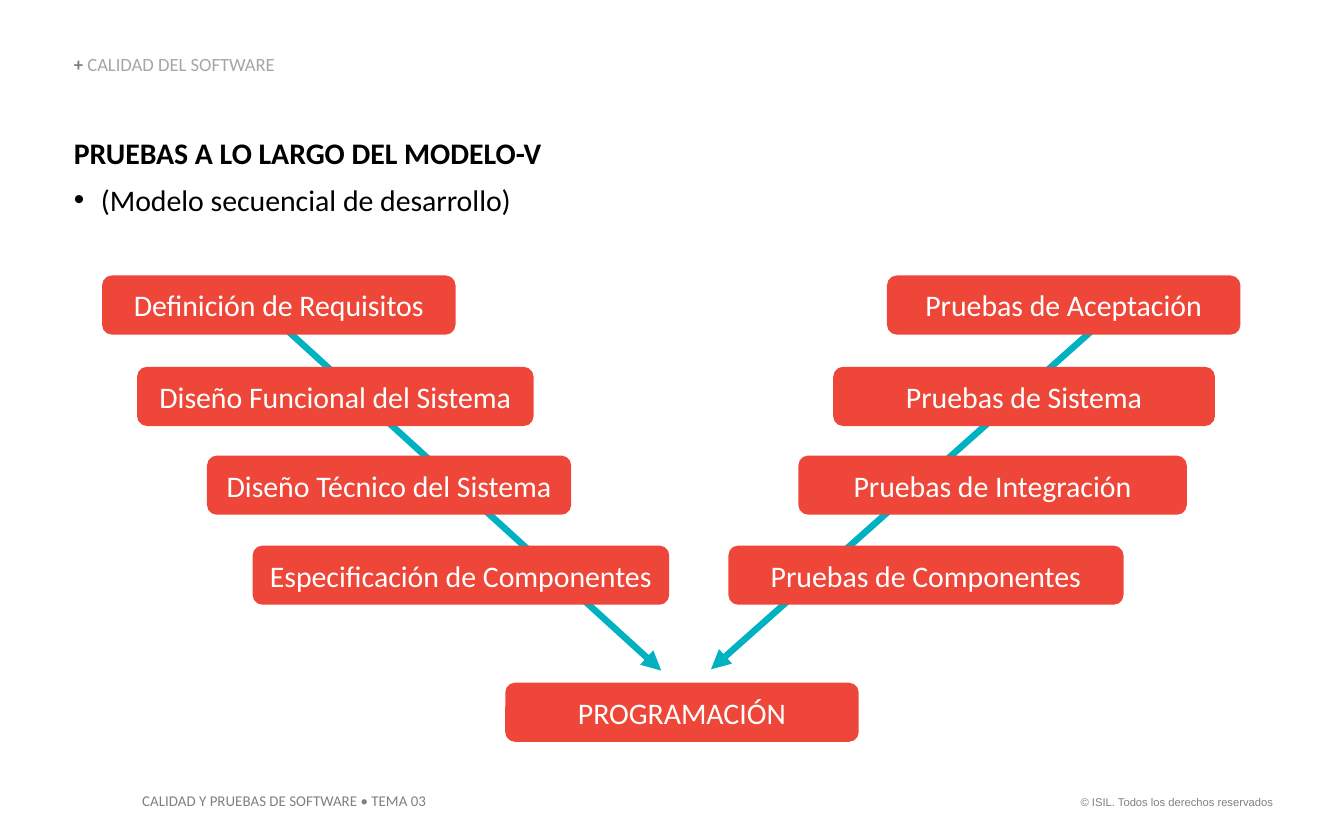
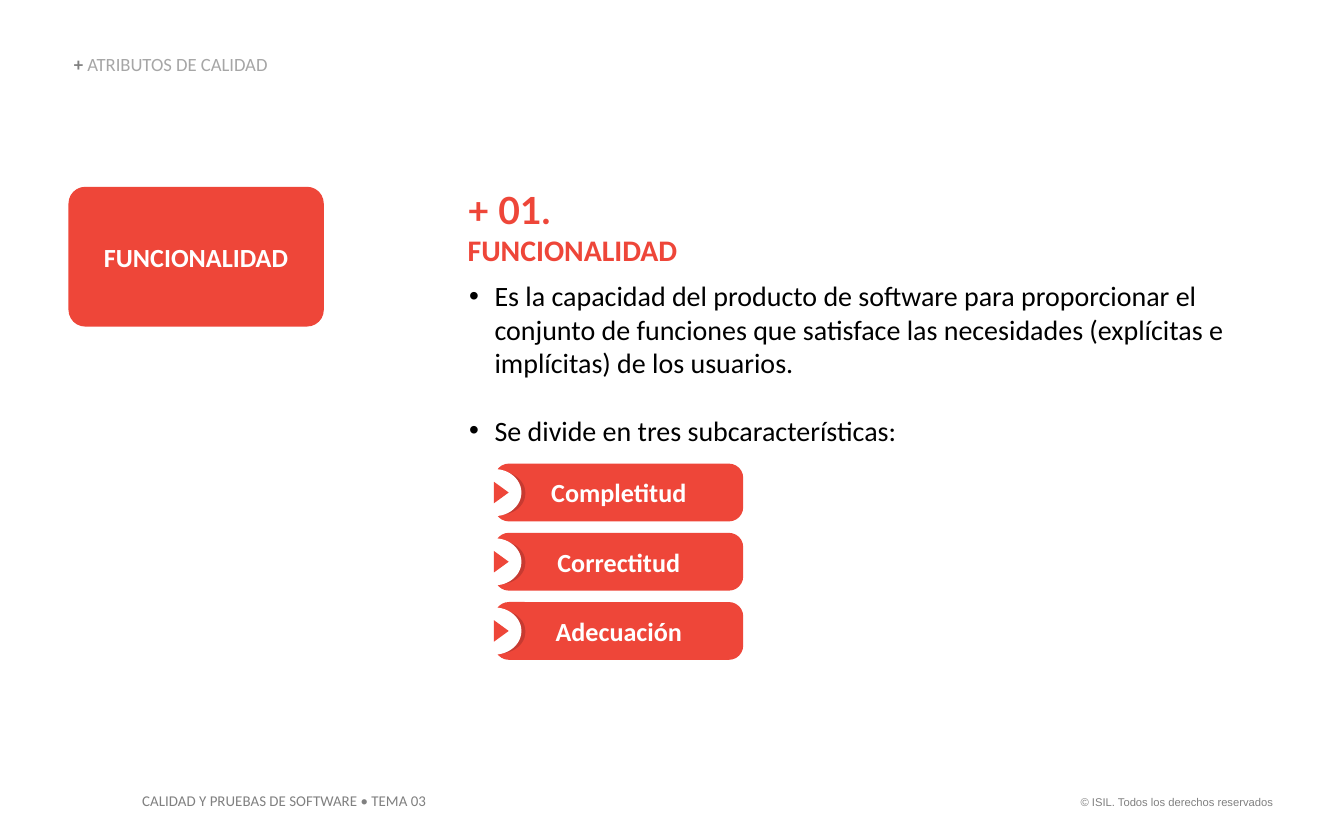
from lxml import etree
from pptx import Presentation
from pptx.dml.color import RGBColor
from pptx.enum.shapes import MSO_CONNECTOR, MSO_SHAPE
from pptx.enum.text import MSO_ANCHOR, PP_ALIGN
from pptx.oxml.ns import qn
from pptx.util import Inches, Pt

RED = RGBColor(0xEE, 0x46, 0x39)
DARK_RED = RGBColor(0xC7, 0x3A, 0x31)
TEAL = RGBColor(0x00, 0xB1, 0xC2)
GRAY = RGBColor(0x80, 0x80, 0x80)
LIGHT_GRAY = RGBColor(0xA6, 0xA6, 0xA6)
BLACK = RGBColor(0, 0, 0)
WHITE = RGBColor(0xFF, 0xFF, 0xFF)

BODY_FONT = "Calibri"
MARGIN = 0.55


# Shared helpers
def style(font, size, color, bold=False, name=BODY_FONT):
    font.name = name
    font.size = Pt(size)
    font.bold = bold
    font.color.rgb = color


def add_run(paragraph, text, size, color, bold=False, name=BODY_FONT):
    run = paragraph.add_run()
    run.text = text
    style(run.font, size, color, bold, name)


def add_text_frame(slide, left, top, width, height, inset=True, wrap=True):
    box = slide.shapes.add_textbox(Inches(left), Inches(top), Inches(width), Inches(height))
    frame = box.text_frame
    frame.word_wrap = wrap
    if not inset:
        frame.margin_left = frame.margin_right = 0
        frame.margin_top = frame.margin_bottom = 0
    return frame


def add_bullet(frame, text, size, hanging, space_before=0):
    paragraph = frame.add_paragraph()
    paragraph.text = text
    paragraph.space_before = Pt(space_before)
    properties = paragraph._p.get_or_add_pPr()
    properties.set("marL", str(Inches(0.2)))
    properties.set("indent", str(-Inches(hanging)))
    bullet_color = etree.SubElement(properties, qn("a:buClr"))
    etree.SubElement(bullet_color, qn("a:srgbClr"), val=str(BLACK))
    etree.SubElement(properties, qn("a:buFont"), typeface="Arial")
    etree.SubElement(properties, qn("a:buChar"), char="•")
    style(paragraph.font, size, BLACK)


def add_filled(shapes, kind, left, top, width, height, color):
    shape = shapes.add_shape(kind, Inches(left), Inches(top), Inches(width), Inches(height))
    shape.shadow.inherit = False
    shape.fill.solid()
    shape.fill.fore_color.rgb = color
    shape.line.fill.background()
    return shape


def add_label_box(shapes, text, left, top, width, height, size, corner=0.167, bold=False):
    shape = add_filled(shapes, MSO_SHAPE.ROUNDED_RECTANGLE, left, top, width, height, RED)
    shape.adjustments[0] = corner
    frame = shape.text_frame
    frame.word_wrap = True
    frame.vertical_anchor = MSO_ANCHOR.MIDDLE
    paragraph = frame.paragraphs[0]
    paragraph.text = text
    paragraph.alignment = PP_ALIGN.CENTER
    style(paragraph.font, size, WHITE, bold)


def add_arrow(shapes, start, end):
    points = [Inches(value) for value in (*start, *end)]
    connector = shapes.add_connector(MSO_CONNECTOR.STRAIGHT, *points)
    connector.line.color.rgb = TEAL
    connector.line.width = Pt(3.5)
    etree.SubElement(connector.line._get_or_add_ln(), qn("a:tailEnd"), type="triangle")
    etree.SubElement(connector._element.spPr, qn("a:effectLst"))


# Slide frame: section label and footers
def add_base_slide(presentation, section):
    slide = presentation.slides.add_slide(presentation.slide_layouts[6])

    paragraph = add_text_frame(slide, 7.88, 5.87, 1.69, 0.2, wrap=False).paragraphs[0]
    paragraph.text = "© ISIL. Todos los derechos reservados"
    paragraph.alignment = PP_ALIGN.RIGHT
    style(paragraph.font, 6, GRAY, name="Arial")

    paragraph = add_text_frame(slide, 0.96, 5.84, 2.37, 0.24, wrap=False).paragraphs[0]
    paragraph.text = "CALIDAD Y PRUEBAS DE SOFTWARE • TEMA 03"
    style(paragraph.font, 8, GRAY)

    frame = add_text_frame(slide, MARGIN, 0.41, 3.61, 0.15, inset=False)
    frame.vertical_anchor = MSO_ANCHOR.BOTTOM
    paragraph = frame.paragraphs[0]
    paragraph.line_spacing = 0.9
    add_run(paragraph, "+ ", 10, GRAY, bold=True)
    add_run(paragraph, section, 10, LIGHT_GRAY)
    return slide


# Slide 1: V-model
PHASE_TOPS = (0, 0.68, 1.34, 2.01)
PHASE_HEIGHT = 0.44
# Text, offset from the left of the diagram, width
DESIGN_PHASES = (
    ("Definición de Requisitos", 0, 2.63),
    ("Diseño Funcional del Sistema", 0.26, 2.95),
    ("Diseño Técnico del Sistema", 0.78, 2.71),
    ("Especificación de Componentes", 1.12, 3.1),
)
TEST_PHASES = (
    ("Pruebas de Aceptación", 5.84, 2.63),
    ("Pruebas de Sistema", 5.44, 2.84),
    ("Pruebas de Integración", 5.18, 2.89),
    ("Pruebas de Componentes", 4.66, 2.94),
)


def add_branch(slide, left, top, phases, arrow_start, arrow_end):
    shapes = slide.shapes.add_group_shape().shapes
    start, end = ((left + x, top + y) for x, y in (arrow_start, arrow_end))
    add_arrow(shapes, start, end)
    for (text, offset, width), phase_top in zip(phases, PHASE_TOPS):
        add_label_box(shapes, text, left + offset, top + phase_top, width, PHASE_HEIGHT, 16)


def add_v_model(slide, left, top):
    add_branch(slide, left, top, TEST_PHASES, (7.59, 0.21), (4.53, 2.93))
    add_label_box(slide.shapes, "PROGRAMACIÓN", left + 3, top + 3.03, 2.63, PHASE_HEIGHT, 16)
    add_branch(slide, left, top, DESIGN_PHASES, (1.17, 0.22), (4.16, 2.94))


def build_v_model_slide(presentation):
    slide = add_base_slide(presentation, "CALIDAD DEL SOFTWARE")
    add_v_model(slide, 0.76, 2.05)
    frame = add_text_frame(slide, MARGIN, 1, 3.75, 0.62, inset=False)
    title = frame.paragraphs[0]
    title.text = "PRUEBAS A LO LARGO DEL MODELO-V"
    title.space_after = Pt(6)
    style(title.font, 16, BLACK, bold=True)
    add_bullet(frame, "(Modelo secuencial de desarrollo)", 16, hanging=0.2)


# Slide 2: quality attribute
SUBFEATURES = ("Completitud", "Correctitud", "Adecuación")
SUBFEATURE_PITCH = 0.515


def add_subfeature(slide, text, left, top):
    shapes = slide.shapes.add_group_shape().shapes
    add_label_box(shapes, text, left + 0.2, top, 1.85, 0.43, 14, corner=0.248, bold=True)
    add_filled(shapes, MSO_SHAPE.OVAL, left + 0.06, top + 0.06, 0.37, 0.32, DARK_RED)
    add_filled(shapes, MSO_SHAPE.OVAL, left, top + 0.04, 0.4, 0.35, WHITE)
    pointer = add_filled(shapes, MSO_SHAPE.ISOSCELES_TRIANGLE,
                         left + 0.17, top + 0.16, 0.16, 0.11, RED)
    pointer.rotation = 90


def add_definition(slide, left, top):
    frame = add_text_frame(slide, left, top, 6.01, 1.95, inset=False)
    heading = frame.paragraphs[0]
    heading.space_after = Pt(6)
    add_run(heading, "+ 01.", 20, RED, bold=True, name="Lato")
    heading.add_line_break()
    add_run(heading, "FUNCIONALIDAD", 16, RED, bold=True)
    add_bullet(frame, "Es la capacidad del producto de software para proporcionar el "
               "conjunto de funciones que satisface las necesidades (explícitas e "
               "implícitas) de los usuarios.", 15, hanging=0.19)
    add_bullet(frame, "Se divide en tres subcaracterísticas:", 15, hanging=0.19,
               space_before=18)


def build_attribute_slide(presentation):
    slide = add_base_slide(presentation, "ATRIBUTOS DE CALIDAD")
    add_definition(slide, 3.48, 1.39)
    add_label_box(slide.shapes, "FUNCIONALIDAD", 0.51, 1.39, 1.9, 1.04, 14,
                  corner=0.12, bold=True)
    for index, text in enumerate(SUBFEATURES):
        add_subfeature(slide, text, 3.48, 3.45 + index * SUBFEATURE_PITCH)


def main():
    presentation = Presentation()
    presentation.slide_width = Inches(10)
    presentation.slide_height = Inches(6.25)
    build_v_model_slide(presentation)
    build_attribute_slide(presentation)
    presentation.save("out.pptx")


if __name__ == "__main__":
    main()
